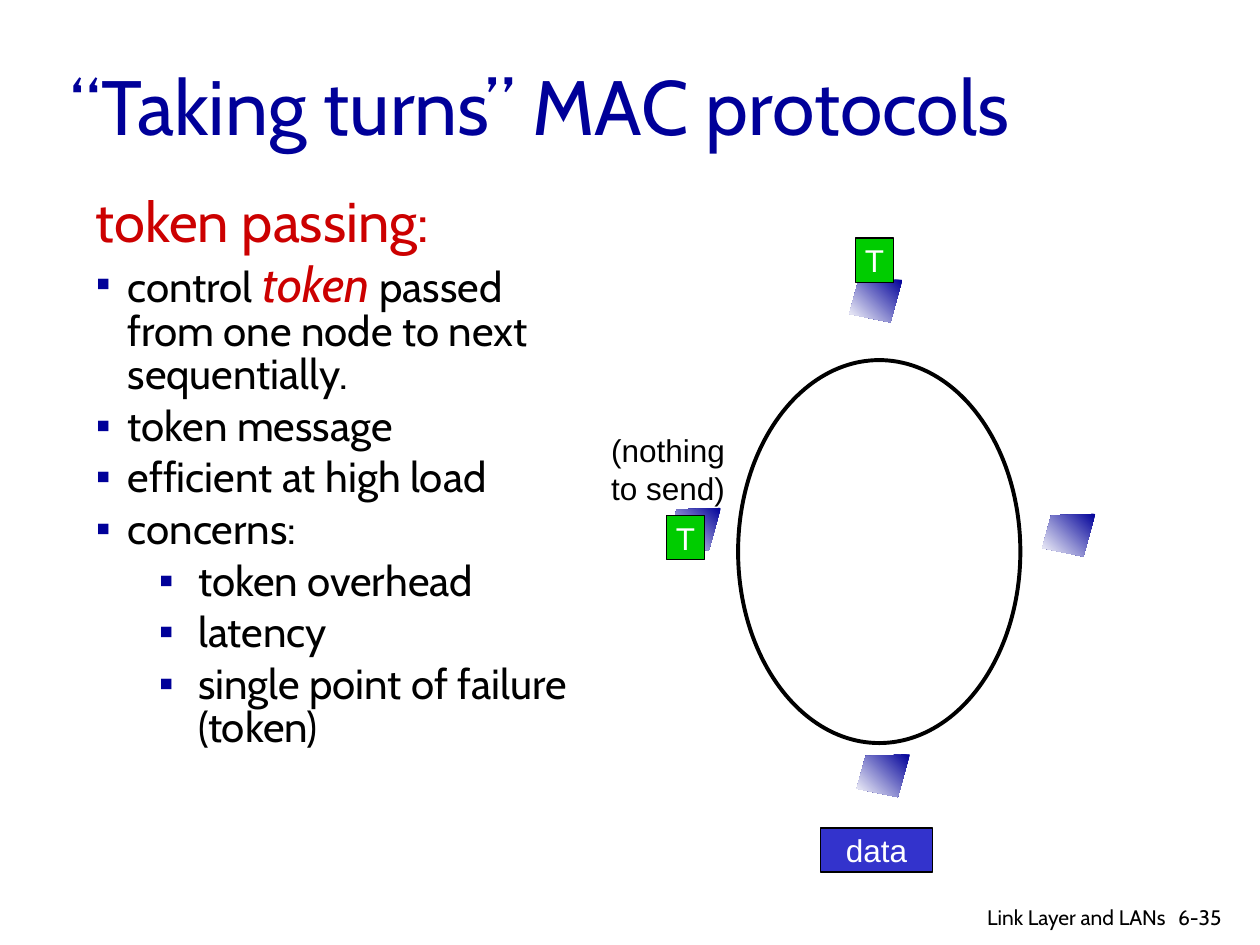
from dataclasses import dataclass

from lxml import etree
from pptx import Presentation
from pptx.dml.color import RGBColor
from pptx.enum.shapes import MSO_SHAPE
from pptx.enum.text import MSO_ANCHOR, MSO_AUTO_SIZE, PP_ALIGN
from pptx.oxml.ns import qn
from pptx.util import Cm, Pt

RECTANGLE, OVAL = MSO_SHAPE.RECTANGLE, MSO_SHAPE.OVAL
LEFT, CENTER, RIGHT = PP_ALIGN.LEFT, PP_ALIGN.CENTER, PP_ALIGN.RIGHT
TOP, MIDDLE = MSO_ANCHOR.TOP, MSO_ANCHOR.MIDDLE
NO_AUTOFIT = MSO_AUTO_SIZE.NONE

NAVY, RED, BLACK, WHITE = "000099", "CC0000", "000000", "FFFFFF"
GREEN, BLUE = "00CC00", "3333CC"
NODE_CORNERS = [(1.07, 0), (0.18, 0.03), (0, 0.69), (0.83, 0.86)]


@dataclass
class Span:
    text: str
    size: float = 24
    color: str = BLACK
    italic: bool = False


@dataclass
class Item:
    spans: list[Span]
    margin: float = 0.64
    hanging: float = 0.64
    level: int = 0
    bullet: bool = True
    before: float = 5


@dataclass
class Packet:
    text: str
    left: float
    top: float
    width: float
    fill: str


@dataclass
class Label:
    text: str
    left: float
    top: float
    width: float
    height: float
    size: float
    font: str
    align: PP_ALIGN = LEFT


ITEMS = [
    Item([Span("token passing:", 32, RED)], 0.95, 0.95, bullet=False, before=0),
    Item([
        Span("control "),
        Span("token", 28, RED, True),
        Span(" passed from one node to next sequentially."),
    ]),
    *[Item([Span(text)]) for text in
      ("token message", "efficient at high load", "concerns:")],
    *[Item([Span(text)], 2.06, 0.79, level=1) for text in
      ("token overhead", "latency", "single point of failure (token)")],
]
NODES = [(21.01, 10.36), (13.46, 10.24), (17.12, 5.64), (17.27, 15.21)]
PACKETS = [
    Packet("T", 17.25, 4.8, 0.76, GREEN),
    Packet("data", 16.54, 16.69, 2.26, BLUE),
    Packet("T", 13.44, 10.39, 0.76, GREEN),
]
LABELS = [
    Label("(nothing\nto send)", 12.07, 8.56, 3, 1.78, 18, "Arial"),
    Label("6-35", 23.5, 18.11, 1.52, 0.76, 12, "Cabin"),
    Label("Link Layer and LANs", 17.7, 18.11, 6.05, 0.66, 12, "Cabin", RIGHT),
]


def rgb(value: str) -> RGBColor:
    return RGBColor.from_string(value)


def format_font(font, size: float, color: str, name: str) -> None:
    font.size = Pt(size)
    font.name = name
    font.color.rgb = rgb(color)


def format_frame(frame, size: float, color: str, name: str, align: PP_ALIGN) -> None:
    for para in frame.paragraphs:
        para.alignment = align
        for span in para.runs:
            format_font(span.font, size, color, name)


def place(box, left: float, top: float, width: float, height: float) -> None:
    box.left, box.top = Cm(left), Cm(top)
    box.width, box.height = Cm(width), Cm(height)


def set_bullet(para, item: Item) -> None:
    properties = para._p.get_or_add_pPr()
    properties.set("marL", str(Cm(item.margin)))
    properties.set("indent", str(-Cm(item.hanging)))
    if not item.bullet:
        etree.SubElement(properties, qn("a:buNone"))
        return
    color = etree.SubElement(properties, qn("a:buClr"))
    etree.SubElement(color, qn("a:srgbClr"), val=NAVY)
    etree.SubElement(properties, qn("a:buFont"), typeface="Arial")
    etree.SubElement(properties, qn("a:buChar"), char="▪")


def fill_title(title) -> None:
    place(title, 1.17, 0.53, 21.59, 3.18)
    frame = title.text_frame
    frame.text = "“Taking turns” MAC protocols"
    frame.auto_size = NO_AUTOFIT
    frame.vertical_anchor = MIDDLE
    format_frame(frame, 44, NAVY, "Cabin", LEFT)


def fill_body(body, items: list[Item]) -> None:
    place(body, 1.68, 3.84, 10.44, 12.9)
    frame = body.text_frame
    frame.auto_size = NO_AUTOFIT
    frame.vertical_anchor = TOP
    for index, item in enumerate(items):
        para = frame.add_paragraph() if index else frame.paragraphs[0]
        para.level = item.level
        set_bullet(para, item)
        para.line_spacing = 0.85
        para.space_before = Pt(item.before)
        for part in item.spans:
            span = para.add_run()
            span.text = part.text
            format_font(span.font, part.size, part.color, "Cabin")
            span.font.italic = part.italic


def add_node(page, left: float, top: float) -> None:
    corners = [(Cm(left + x), Cm(top + y)) for x, y in NODE_CORNERS]
    builder = page.shapes.build_freeform(*corners[0])
    builder.add_line_segments(corners[1:], close=True)
    node = builder.convert_to_shape()
    node.shadow.inherit = False
    node.line.fill.background()
    node.fill.gradient()
    node.fill.gradient_angle = 225
    for stop, color in zip(node.fill.gradient_stops, (NAVY, WHITE)):
        stop.color.rgb = rgb(color)


def add_ring(page) -> None:
    ring = page.shapes.add_shape(OVAL, Cm(14.88), Cm(7.26), Cm(5.69), Cm(7.72))
    ring.shadow.inherit = False
    ring.fill.background()
    ring.line.color.rgb = rgb(BLACK)
    ring.line.width = Pt(2.25)


def add_packet(page, packet: Packet) -> None:
    box = page.shapes.add_shape(
        RECTANGLE, Cm(packet.left), Cm(packet.top), Cm(packet.width), Cm(0.89))
    box.shadow.inherit = False
    box.fill.solid()
    box.fill.fore_color.rgb = rgb(packet.fill)
    box.line.color.rgb = rgb(BLACK)
    box.line.width = Pt(0.75)
    frame = box.text_frame
    frame.text = packet.text
    frame.word_wrap = False
    frame.vertical_anchor = MIDDLE
    format_frame(frame, 18, WHITE, "Arial", CENTER)


def add_label(page, label: Label) -> None:
    box = page.shapes.add_textbox(
        Cm(label.left), Cm(label.top), Cm(label.width), Cm(label.height))
    frame = box.text_frame
    frame.text = label.text
    frame.word_wrap = True
    format_frame(frame, label.size, BLACK, label.font, label.align)


def main() -> None:
    deck = Presentation()
    deck.slide_width, deck.slide_height = Cm(25.4), Cm(19.05)
    page = deck.slides.add_slide(deck.slide_layouts[1])
    fill_title(page.shapes.title)
    fill_body(page.placeholders[1], ITEMS)
    for left, top in NODES:
        add_node(page, left, top)
    add_ring(page)
    for packet in PACKETS:
        add_packet(page, packet)
    for label in LABELS:
        add_label(page, label)
    deck.save("out.pptx")


if __name__ == "__main__":
    main()
